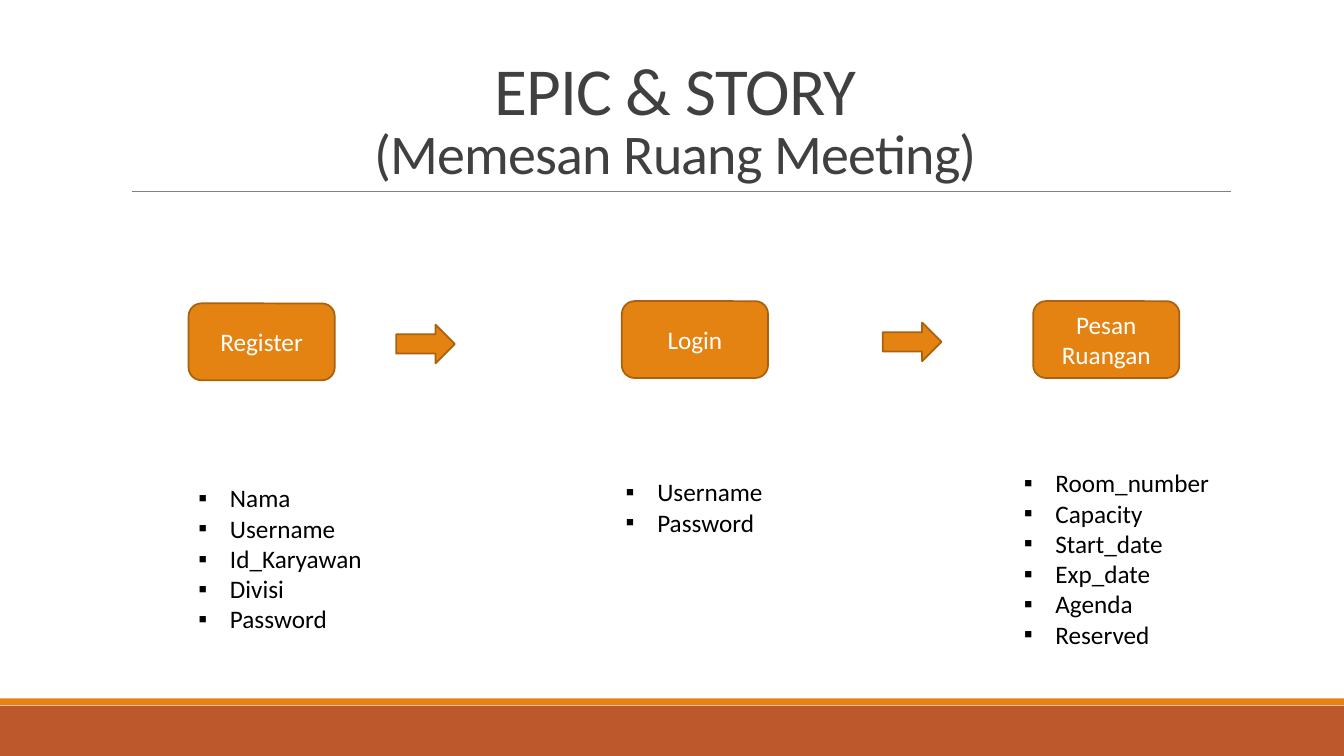
"""Build the epic and story slide for booking a meeting room."""
from lxml import etree
from pptx import Presentation
from pptx.dml.color import RGBColor
from pptx.enum.shapes import MSO_CONNECTOR, MSO_SHAPE
from pptx.enum.text import MSO_ANCHOR, MSO_AUTO_SIZE, PP_ALIGN
from pptx.oxml.ns import qn
from pptx.util import Pt

TITLE_LINES = [("EPIC & STORY", 48), ("(Memesan Ruang Meeting)", 40)]
STEPS = [
    {"name": "Register", "box": (134.7, 216.7), "list": (134.7, 341.3, 132.5),
     "fields": ["Nama", "Username", "Id_Karyawan", "Divisi", "Password"]},
    {"name": "Login", "box": (444.2, 215.1), "list": (439.9, 337, 113),
     "fields": ["Username", "Password"]},
    {"name": "Pesan Ruangan", "box": (738, 215.1), "list": (724.3, 330.5, 148.3),
     "fields": ["Room_number", "Capacity", "Start_date", "Exp_date", "Agenda", "Reserved"]},
]
ARROWS = [(283, 231.9), (630.6, 230.4)]

FONT = "Calibri"
WHITE = RGBColor(0xFF, 0xFF, 0xFF)
BLACK = RGBColor(0, 0, 0)
CHARCOAL = RGBColor(0x40, 0x40, 0x40)
GRAY = RGBColor(0x80, 0x80, 0x80)
ORANGE = RGBColor(0xE4, 0x83, 0x12)
BROWN = RGBColor(0xA9, 0x61, 0x0D)
RUST = RGBColor(0xBD, 0x58, 0x2C)

RECTANGLE = MSO_SHAPE.RECTANGLE
ROUNDED = MSO_SHAPE.ROUNDED_RECTANGLE
RIGHT_ARROW = MSO_SHAPE.RIGHT_ARROW
STRAIGHT = MSO_CONNECTOR.STRAIGHT
MIDDLE, BOTTOM = MSO_ANCHOR.MIDDLE, MSO_ANCHOR.BOTTOM
LEFT, CENTER = PP_ALIGN.LEFT, PP_ALIGN.CENTER
FIXED, GROW = MSO_AUTO_SIZE.NONE, MSO_AUTO_SIZE.SHAPE_TO_FIT_TEXT

SLIDE_WIDTH, SLIDE_HEIGHT = 960, 540
BOX_SIZE = (104.4, 54.9)
ARROW_SIZE = (41.9, 27.6)
LINE_HEIGHT, LIST_PADDING, BULLET_INDENT = 21.9, 7.2, 22.5


def add_text(paragraph, text, size=18, color=BLACK, align=LEFT, spacing=0):
    paragraph.alignment = align
    run = paragraph.add_run()
    run.text = text
    run.font.name = FONT
    run.font.size = Pt(size)
    run.font.color.rgb = color
    if spacing:
        run.font._element.set("spc", str(round(spacing * 100)))


def add_bullet(paragraph):
    properties = paragraph._p.get_or_add_pPr()
    properties.set("marL", str(Pt(BULLET_INDENT)))
    properties.set("indent", str(-Pt(BULLET_INDENT)))
    etree.SubElement(properties, qn("a:buFont")).set("typeface", "Arial")
    etree.SubElement(properties, qn("a:buChar")).set("char", "▪")


def add_block(slide, kind, position, size, fill, outline=None):
    block = slide.shapes.add_shape(kind, *map(Pt, position + size))
    block.shadow.inherit = False
    block.fill.solid()
    block.fill.fore_color.rgb = fill
    if outline is None:
        block.line.fill.background()
    else:
        block.line.color.rgb = outline
        block.line.width = Pt(1.25)
    return block


def add_frame(slide):
    add_block(slide, RECTANGLE, (0, 504), (SLIDE_WIDTH, 36), RUST)
    add_block(slide, RECTANGLE, (0, 498.8), (SLIDE_WIDTH, 5), ORANGE)
    rule = slide.shapes.add_connector(STRAIGHT, Pt(94.3), Pt(136.8), Pt(879), Pt(136.8))
    rule.line.color.rgb = GRAY
    rule.line.width = Pt(0.5)
    etree.SubElement(rule._element.spPr, qn("a:effectLst"))


def add_title(slide):
    title = slide.shapes.title
    title.left, title.top, title.width, title.height = map(Pt, (86.4, 22.5, 792, 114.2))
    frame = title.text_frame
    frame.auto_size = FIXED
    frame.vertical_anchor = BOTTOM
    paragraph = frame.paragraphs[0]
    paragraph.line_spacing = 0.85
    for index, (text, size) in enumerate(TITLE_LINES):
        if index:
            paragraph.add_line_break()
        add_text(paragraph, text, size=size, color=CHARCOAL, align=CENTER, spacing=-0.5)


def add_step(slide, step):
    box = add_block(slide, ROUNDED, step["box"], BOX_SIZE, ORANGE, BROWN)
    box.text_frame.word_wrap = True
    box.text_frame.vertical_anchor = MIDDLE
    add_text(box.text_frame.paragraphs[0], step["name"], color=WHITE, align=CENTER)

    fields = step["fields"]
    height = LIST_PADDING + LINE_HEIGHT * len(fields)
    frame = slide.shapes.add_textbox(*map(Pt, step["list"] + (height,))).text_frame
    frame.word_wrap = False
    frame.auto_size = GROW
    for index, field in enumerate(fields):
        paragraph = frame.add_paragraph() if index else frame.paragraphs[0]
        add_text(paragraph, field)
        add_bullet(paragraph)


def main():
    presentation = Presentation()
    presentation.slide_width = Pt(SLIDE_WIDTH)
    presentation.slide_height = Pt(SLIDE_HEIGHT)
    slide = presentation.slides.add_slide(presentation.slide_layouts[5])
    add_frame(slide)
    add_title(slide)
    for step in STEPS:
        add_step(slide, step)
    for position in ARROWS:
        add_block(slide, RIGHT_ARROW, position, ARROW_SIZE, ORANGE, BROWN)
    presentation.save("out.pptx")


if __name__ == "__main__":
    main()
